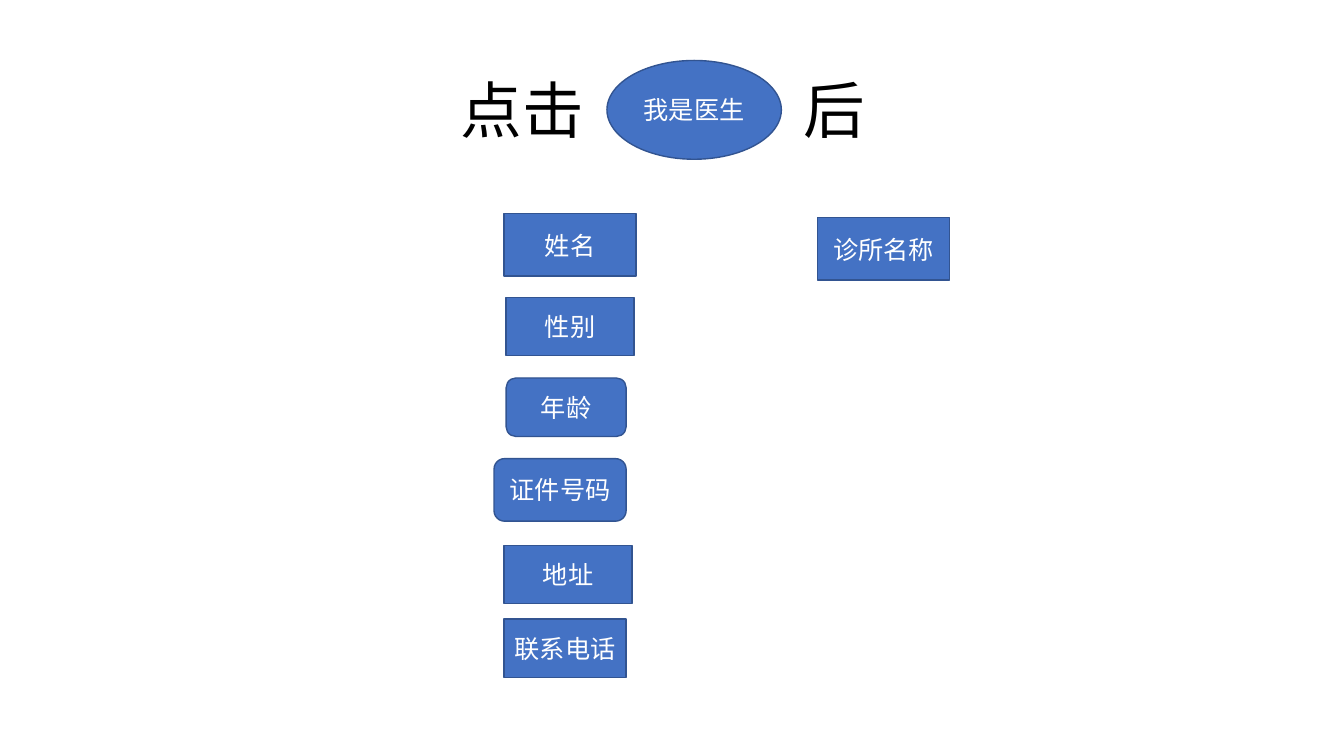
from dataclasses import dataclass

from lxml.etree import SubElement
from pptx import Presentation
from pptx.dml.color import RGBColor
from pptx.enum.shapes import MSO_SHAPE
from pptx.enum.text import MSO_ANCHOR, PP_ALIGN
from pptx.oxml.ns import qn
from pptx.slide import Slide
from pptx.util import Inches, Pt

BLUE = RGBColor(0x44, 0x72, 0xC4)
DARK_BLUE = RGBColor(0x32, 0x54, 0x91)
WHITE = RGBColor(0xFF, 0xFF, 0xFF)
BLACK = RGBColor(0x00, 0x00, 0x00)
FONT = "Calibri"

# Tab stops that leave room for the button inside the title
TITLE_TABS = (3.55, 6.95)


@dataclass
class Box:
    label: str
    left: float
    top: float
    width: float
    height: float
    outline: MSO_SHAPE = MSO_SHAPE.RECTANGLE


DOCTOR_BUTTON = Box("我是医生", 6.02, 0.6, 1.73, 0.98, MSO_SHAPE.OVAL)
PERSONAL_FIELDS = [
    Box("姓名", 5, 2.12, 1.31, 0.62),
    Box("性别", 5.02, 2.95, 1.27, 0.58),
    Box("年龄", 5.02, 3.75, 1.19, 0.58, MSO_SHAPE.ROUNDED_RECTANGLE),
    Box("证件号码", 4.9, 4.55, 1.31, 0.62, MSO_SHAPE.ROUNDED_RECTANGLE),
    Box("地址", 5, 5.41, 1.27, 0.58),
    Box("联系电话", 5, 6.14, 1.21, 0.58),
]
CLINIC_FIELD = Box("诊所名称", 8.11, 2.16, 1.31, 0.62)


def write_title(slide: Slide) -> None:
    title = slide.shapes.title
    title.left, title.top = Inches(0.92), Inches(0.4)
    title.width, title.height = Inches(11.5), Inches(1.45)
    frame = title.text_frame
    frame.vertical_anchor = MSO_ANCHOR.MIDDLE
    frame.text = "\t点击\t后"
    heading = frame.paragraphs[0]
    heading.alignment = PP_ALIGN.LEFT
    heading.line_spacing = 0.9
    tab_list = SubElement(heading._p.get_or_add_pPr(), qn("a:tabLst"))
    for position in TITLE_TABS:
        SubElement(tab_list, qn("a:tab"), pos=str(Inches(position)), algn="l")
    heading.font.name = FONT
    heading.font.size = Pt(44)
    heading.font.color.rgb = BLACK


def draw_box(slide: Slide, box: Box) -> None:
    shape = slide.shapes.add_shape(
        box.outline, Inches(box.left), Inches(box.top),
        Inches(box.width), Inches(box.height),
    )
    shape.shadow.inherit = False
    shape.fill.solid()
    shape.fill.fore_color.rgb = BLUE
    shape.line.color.rgb = DARK_BLUE
    shape.line.width = Pt(1)
    frame = shape.text_frame
    frame.text = box.label
    frame.vertical_anchor = MSO_ANCHOR.MIDDLE
    label = frame.paragraphs[0]
    label.alignment = PP_ALIGN.CENTER
    label.font.name = FONT
    label.font.size = Pt(18)
    label.font.color.rgb = WHITE


def main() -> None:
    presentation = Presentation()
    presentation.slide_width = Inches(13.33)
    presentation.slide_height = Inches(7.5)
    slide = presentation.slides.add_slide(presentation.slide_layouts[5])

    # Heading, with the button between its words
    write_title(slide)
    draw_box(slide, DOCTOR_BUTTON)

    # Fields shown after the click
    for field in [*PERSONAL_FIELDS, CLINIC_FIELD]:
        draw_box(slide, field)

    presentation.save("out.pptx")


if __name__ == "__main__":
    main()
